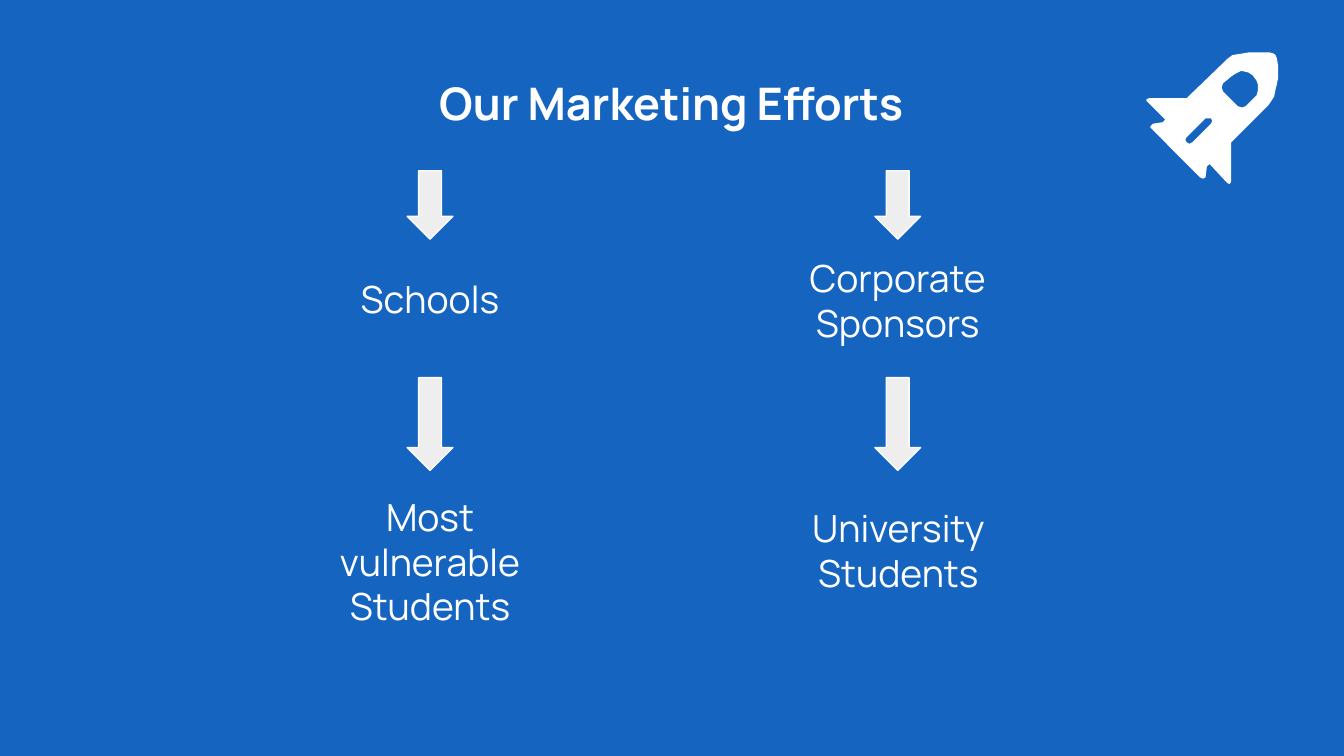
"""Build the marketing efforts slide with two arrow chains and a rocket."""
from pptx import Presentation
from pptx.dml.color import RGBColor
from pptx.enum.shapes import MSO_SHAPE as Shape
from pptx.enum.text import MSO_ANCHOR as Anchor, PP_ALIGN as Align
from pptx.util import Emu, Pt

PX = 9144
BLUE, WHITE, PALE = "1565C0", "FFFFFF", "EEEEEE"

WINDOW = [
    (925, 53), (929, 54), (932, 56), (935, 60), (936, 63), (936, 67), (935, 71),
    (932, 74), (927, 79), (924, 80), (921, 79), (910, 68), (909, 65), (910, 62),
    (916, 57), (919, 55), (923, 53),
]
SLOT = [
    (899, 88), (901, 88), (902, 90), (901, 92), (887, 106), (885, 107),
    (883, 106), (882, 104), (883, 102), (897, 88),
]
HULL = [
    (935, 39), (929, 39), (923, 40), (917, 41), (913, 44), (911, 46), (883, 73),
    (855, 73), (853, 74), (853, 75), (867, 89), (865, 91), (858, 92), (856, 94),
    (856, 95), (893, 132), (895, 133), (897, 132), (898, 124), (900, 122),
    (913, 136), (915, 137), (916, 135), (916, 106), (944, 78), (946, 75),
    (948, 72), (949, 67), (950, 63), (951, 58), (951, 49), (950, 43), (949, 41),
    (948, 40), (945, 39), (940, 39),
]


def color(hex_code):
    return RGBColor.from_string(hex_code)


def write(frame, text, size=20, bold=False, font="Manrope", ink=WHITE):
    paragraph = frame.paragraphs[0]
    paragraph.alignment = Align.CENTER
    run = paragraph.add_run()
    run.text = text
    run.font.name, run.font.size, run.font.bold = font, Pt(size), bold
    run.font.color.rgb = color(ink)


class Deck:
    def __init__(self, width, background):
        self.show = Presentation()
        self.show.slide_width = Emu(width * PX)
        self.show.slide_height = Emu(width * PX * 9 // 16)
        self.slide = self.show.slides.add_slide(self.show.slide_layouts[6])
        self.slide.background.fill.solid()
        self.slide.background.fill.fore_color.rgb = color(background)

    def label(self, text, left, top, width, height, raise_by=0, **style):
        box = self.slide.shapes.add_textbox(*(Emu(n * PX) for n in (left, top, width, height)))
        frame = box.text_frame
        frame.word_wrap = True
        frame.vertical_anchor = Anchor.MIDDLE
        frame.margin_left = frame.margin_right = frame.margin_top = Emu(10 * PX)
        frame.margin_bottom = Emu((10 + raise_by) * PX)
        write(frame, text, **style)

    def arrow(self, left, top, width, height):
        arrow = self.slide.shapes.add_shape(
            Shape.DOWN_ARROW, *(Emu(n * PX) for n in (left, top, width, height)))
        arrow.shadow.inherit = False
        arrow.fill.solid()
        arrow.fill.fore_color.rgb = color(PALE)
        arrow.line.color.rgb = color(WHITE)
        arrow.line.width = Pt(0.75)

    def outline(self, contours, fill):
        builder = self.slide.shapes.build_freeform(*contours[0][0], scale=PX)
        for index, contour in enumerate(contours):
            if index:
                builder.move_to(*contour[0])
            builder.add_line_segments(contour[1:], close=True)
        drawing = builder.convert_to_shape()
        drawing.shadow.inherit = False
        drawing.fill.solid()
        drawing.fill.fore_color.rgb = color(fill)
        drawing.line.fill.background()


def main():
    deck = Deck(1000, BLUE)
    deck.label("Our Marketing Efforts", 303, 46, 393, 61, size=24, bold=True)
    deck.label("Schools", 250, 209, 140, 51, raise_by=24)
    deck.label("Corporate Sponsors", 560, 178, 216, 91)
    deck.label("Most vulnerable Students", 212, 372, 216, 91)
    deck.label("University Students", 563, 380, 211, 103, raise_by=44)
    for top, height in ((127, 51), (281, 69)):
        for left in (303, 651):
            deck.arrow(left, top, 34, height)
    deck.outline([WINDOW, SLOT, HULL], WHITE)
    deck.show.save("out.pptx")


if __name__ == "__main__":
    main()
